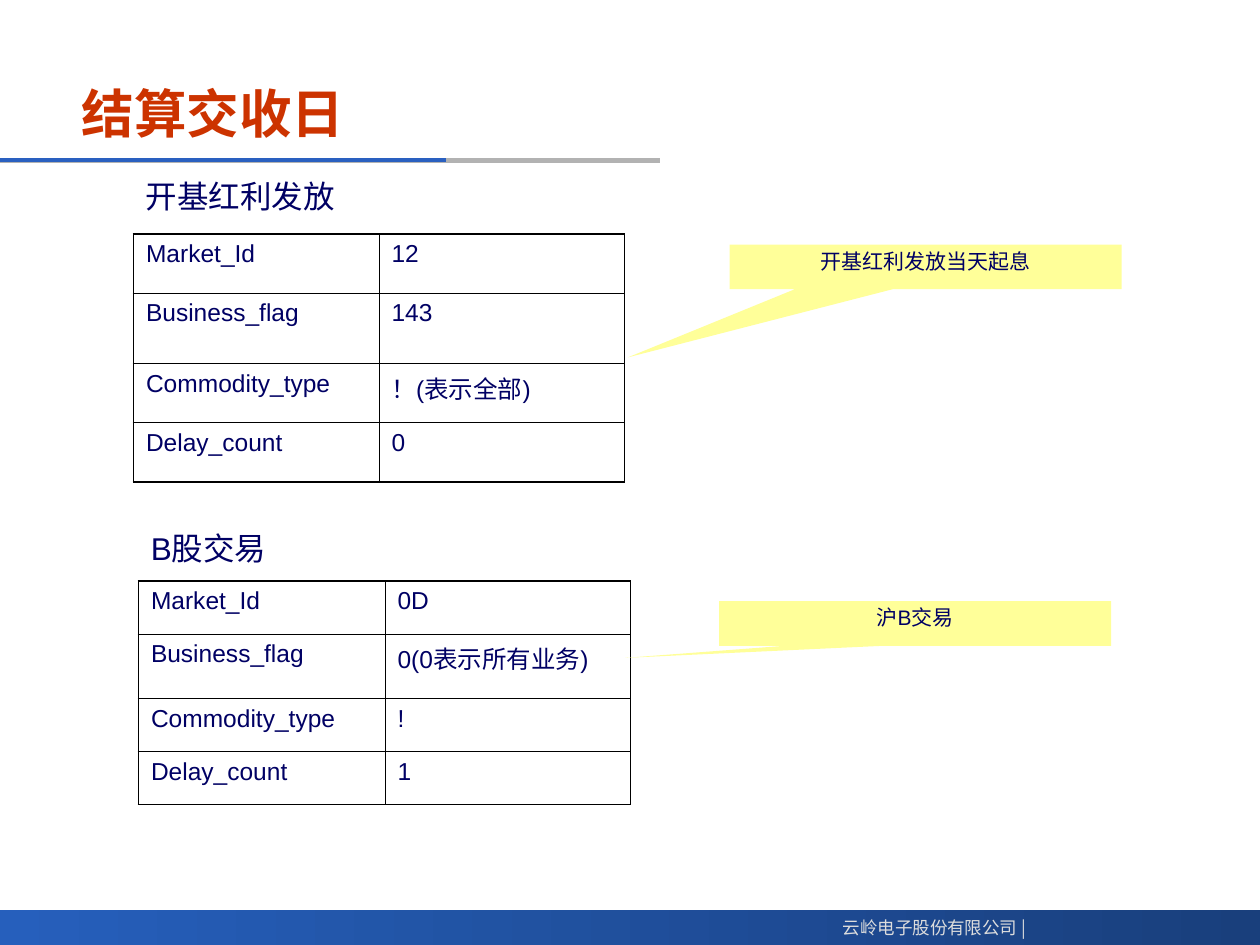
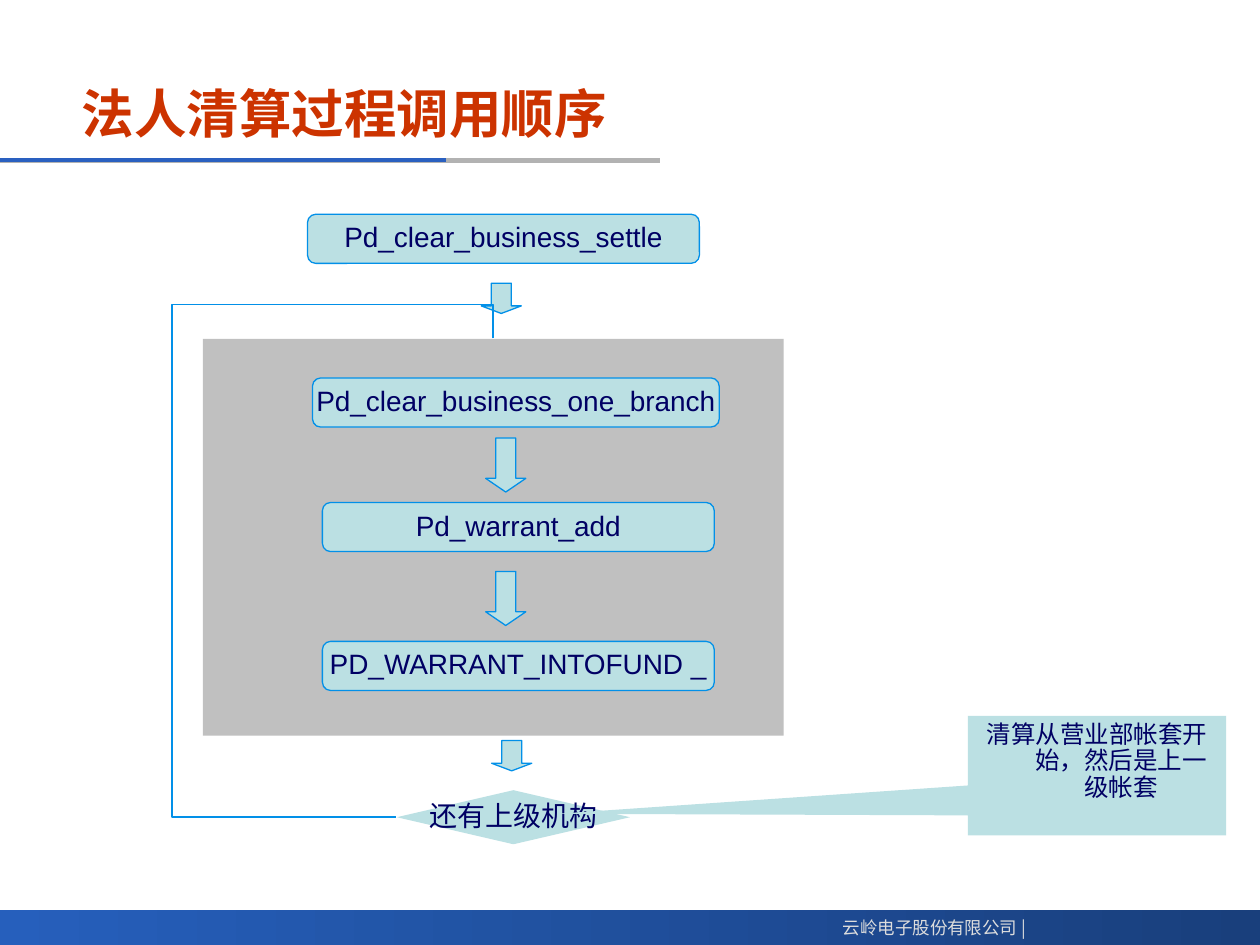
from dataclasses import dataclass

from lxml import etree
from pptx import Presentation
from pptx import util as u
from pptx.dml.color import RGBColor
from pptx.enum import shapes, text
from pptx.oxml import ns

Cm, Pt = u.Cm, u.Pt
Kind, Align, Anchor = shapes.MSO_SHAPE, text.PP_ALIGN, text.MSO_ANCHOR


@dataclass(frozen=True)
class Theme:
    latin: str = "Arial"
    asian: str = "Noto Sans CJK SC"
    # Colours
    title: str = "CC3300"
    ink: str = "000064"
    footer: str = "DDDDDD"
    band_dark: str = "193F7C"
    band_light: str = "265FBC"
    rule_blue: str = "2A60C0"
    rule_grey: str = "B2B2B2"
    note: str = "FFFF99"
    step: str = "BBE0E3"
    outline: str = "0290E8"
    panel: str = "C0C0C0"
    grid: str = "000000"
    # Type sizes
    title_size: float = 30
    heading_size: float = 18
    step_size: float = 16
    table_size: float = 14
    note_size: float = 12
    footer_size: float = 10


def write(frame, words, size, color, font=Theme.latin, bold=False, align=Align.LEFT,
          anchor=Anchor.TOP, wrap=True, spacing=None, hanging=0):
    """Put one formatted paragraph into a text frame."""
    frame.word_wrap = wrap
    frame.vertical_anchor = anchor
    frame.margin_left = frame.margin_right = Cm(0.25)
    frame.margin_top = frame.margin_bottom = Cm(0.13)
    para = frame.paragraphs[0]
    para.alignment = align
    para.line_spacing = spacing
    if hanging:
        props = para._p.get_or_add_pPr()
        props.set("marL", str(Cm(hanging)))
        props.set("indent", str(-Cm(hanging)))
    span = para.add_run()
    span.text = words
    span.font.name = font
    span.font.size = Pt(size)
    span.font.bold = bold
    span.font.color.rgb = RGBColor.from_string(color)
    etree.SubElement(span._r.get_or_add_rPr(), ns.qn("a:ea"), typeface=Theme.asian)


class Builder:
    """Holds the theme and the page being drawn."""

    def __init__(self, deck, theme):
        self.deck, self.theme, self.page = deck, theme, None
        self.layout = deck.slide_layouts[5]

    def new_page(self, title):
        self.page = self.deck.slides.add_slide(self.layout)
        box = self.page.shapes.title
        box.left, box.top, box.width, box.height = Cm(1.4), Cm(1.42), Cm(17.58), Cm(1.7)
        write(box.text_frame, title, self.theme.title_size, self.theme.title,
              bold=True, anchor=Anchor.MIDDLE)

    def shape(self, kind, left, top, width, height, fill, outline=None, adjust=()):
        box = self.page.shapes.add_shape(kind, Cm(left), Cm(top), Cm(width), Cm(height))
        box.shadow.inherit = False
        box.fill.solid()
        box.fill.fore_color.rgb = RGBColor.from_string(fill)
        if outline:
            box.line.color.rgb = RGBColor.from_string(outline)
            box.line.width = Pt(0.75)
        else:
            box.line.fill.background()
        for index, value in enumerate(adjust):
            box.adjustments[index] = value
        return box

    def line(self, start, end, color, width, kind=shapes.MSO_CONNECTOR.STRAIGHT):
        link = self.page.shapes.add_connector(kind, *map(Cm, start + end))
        link.line.color.rgb = RGBColor.from_string(color)
        link.line.width = Pt(width)
        etree.SubElement(link._element.spPr, ns.qn("a:effectLst"))
        return link

    def loop(self, start, end, bends):
        """Four-part elbow turned by a quarter, with its two bend positions."""
        link = self.line(start, end, self.theme.outline, 0.75, shapes.MSO_CONNECTOR.ELBOW)
        props = link._element.spPr
        props.find(ns.qn("a:xfrm")).set("rot", str(90 * 60000))
        geometry = props.find(ns.qn("a:prstGeom"))
        geometry.set("prst", "bentConnector4")
        guides = geometry.find(ns.qn("a:avLst"))
        for number, bend in enumerate(bends, 1):
            etree.SubElement(guides, ns.qn("a:gd"), name=f"adj{number}",
                             fmla=f"val {round(bend * 100000)}")

    def label(self, words, left, top, width, height, **style):
        box = self.page.shapes.add_textbox(Cm(left), Cm(top), Cm(width), Cm(height))
        write(box.text_frame, words, **style)
        return box

    def heading(self, words, left, top):
        self.label(words, left, top, 9.91, 0.94, size=self.theme.heading_size,
                   color=self.theme.ink, spacing=0.9)

    def callout(self, words, area, tip, fill, size):
        box = self.shape(Kind.RECTANGULAR_CALLOUT, *area, fill, adjust=tip)
        write(box.text_frame, words, size, self.theme.ink, align=Align.CENTER,
              spacing=0.9, hanging=0.97)

    def step(self, words, left, top, width=7.9, height=0.99,
             kind=Kind.ROUNDED_RECTANGLE, outline=Theme.outline):
        box = self.shape(kind, left, top, width, height, self.theme.step, outline)
        write(box.text_frame, words, self.theme.step_size, self.theme.ink,
              align=Align.CENTER, anchor=Anchor.MIDDLE, wrap=False, spacing=0.9)

    def down_arrow(self, left, top, length, head):
        arrow = self.shape(Kind.RIGHT_ARROW, left, top, length, 0.81, self.theme.step,
                           self.theme.outline, (0.5, head))
        arrow.rotation = 90

    def table(self, left, top, widths, heights, rows):
        frame = self.page.shapes.add_table(len(rows), len(widths), Cm(left), Cm(top),
                                           Cm(sum(widths)), Cm(sum(heights)))
        grid = frame.table
        grid.first_row = grid.horz_banding = False
        for column, width in zip(grid.columns, widths):
            column.width = Cm(width)
        for row, height in zip(grid.rows, heights):
            row.height = Cm(height)
        last_row, last_column = len(rows) - 1, len(widths) - 1
        for r, values in enumerate(rows):
            for c, value in enumerate(values):
                cell = grid.cell(r, c)
                self.borders(cell, L=c == 0, R=c == last_column, T=r == 0, B=r == last_row)
                cell.fill.background()
                write(cell.text_frame, value, self.theme.table_size, self.theme.ink)

    def borders(self, cell, **outer):
        props = cell._tc.get_or_add_tcPr()
        for side, is_outer in outer.items():
            edge = etree.SubElement(props, ns.qn(f"a:ln{side}"),
                                    w=str(Pt(1.08 if is_outer else 0.45)))
            fill = etree.SubElement(edge, ns.qn("a:solidFill"))
            etree.SubElement(fill, ns.qn("a:srgbClr"), val=self.theme.grid)

    def move_frame_to_layout(self):
        """Draw band, rules and footer once and hand them to the layout."""
        theme = self.theme
        band = self.shape(Kind.RECTANGLE, 0, 18.34, 25.4, 0.71, theme.band_dark)
        band.fill.gradient()
        band.fill.gradient_angle = 180
        for stop, color in zip(band.fill.gradient_stops, (theme.band_dark, theme.band_light)):
            stop.color.rgb = RGBColor.from_string(color)
        parts = [
            band,
            self.line((0, 3.23), (13.31, 3.23), theme.rule_grey, 3),
            self.line((0, 3.23), (8.99, 3.23), theme.rule_blue, 2.25),
            self.label("云岭电子股份有限公司 |", 16.59, 18.36, 4.34, 0.69,
                       size=theme.footer_size, color=theme.footer, font=theme.asian,
                       align=Align.RIGHT, wrap=False),
        ]
        for part in parts:
            self.layout.shapes.element.append(part.element)


def settlement_page(build):
    theme = build.theme
    build.new_page("结算交收日")
    build.move_frame_to_layout()
    fields = ("Market_Id", "Business_flag", "Commodity_type", "Delay_count")

    # Fund dividends
    build.heading("开基红利发放", 2.69, 3.53)
    build.table(2.69, 4.72, (4.95, 4.95), (1.19, 1.42, 1.19, 1.19),
                list(zip(fields, ("12", "143", "！(表示全部)", "0"))))
    build.callout("开基红利发放当天起息", (14.71, 4.93, 7.9, 0.9), (-0.76, 2.03),
                  theme.note, theme.note_size)

    # B-share trades
    build.heading("B股交易", 2.79, 10.62)
    build.table(2.79, 11.71, (4.97, 4.95), (1.07, 1.3, 1.07, 1.07),
                list(zip(fields, ("0D", "0(0表示所有业务)", "!", "1"))))
    build.callout("沪B交易", (14.5, 12.12, 7.9, 0.9), (-0.74, 0.77),
                  theme.note, theme.note_size)


def clearing_page(build):
    theme = build.theme
    build.new_page("法人清算过程调用顺序")

    # Entry step
    build.step("Pd_clear_business_settle", 6.2, 4.32)
    build.down_arrow(9.8, 5.61, 0.61, 0.25)

    # Steps repeated for every branch
    build.shape(Kind.RECTANGLE, 4.09, 6.83, 11.71, 8, theme.panel)
    build.step("Pd_clear_business_one_branch", 6.3, 7.62, width=8.2)
    build.step("Pd_warrant_add", 6.5, 10.13)
    build.step("PD_WARRANT_INTOFUND _", 6.5, 12.93)
    for top in (8.97, 11.66):
        build.down_arrow(9.65, top, 1.09, 0.34)

    # Decision and way back
    build.step("还有上级机构", 8, 15.93, 4.7, 1.09, Kind.DIAMOND, None)
    build.down_arrow(10.01, 14.83, 0.61, 0.25)
    build.loop((4.14, 10.67), (13.79, 12.62), (-0.07, 3.32))
    build.callout("清算从营业部帐套开始，然后是上一级帐套", (19.51, 14.43, 5.21, 2.41),
                  (-2.09, 0.32), theme.step, theme.table_size)


def main():
    deck = Presentation()
    deck.slide_width, deck.slide_height = Cm(25.4), Cm(19.05)
    build = Builder(deck, Theme())
    settlement_page(build)
    clearing_page(build)
    deck.save("out.pptx")


if __name__ == "__main__":
    main()
